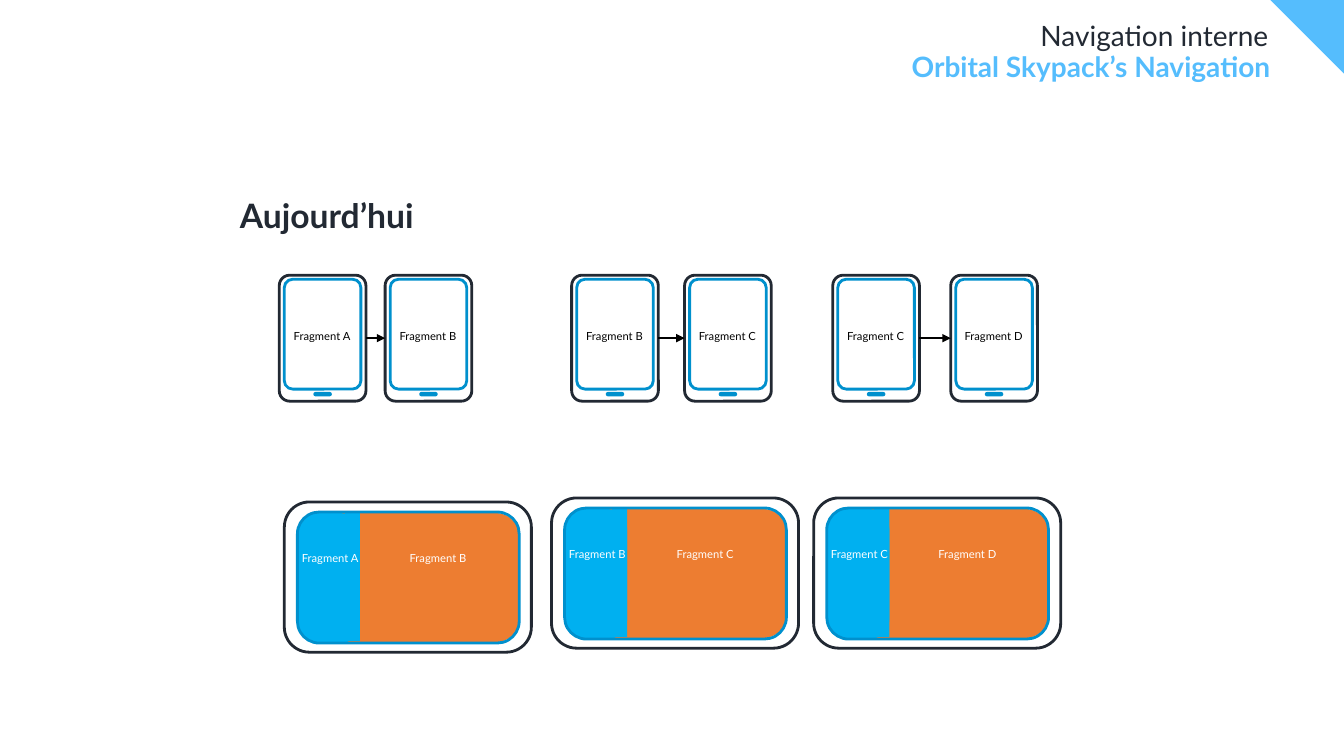
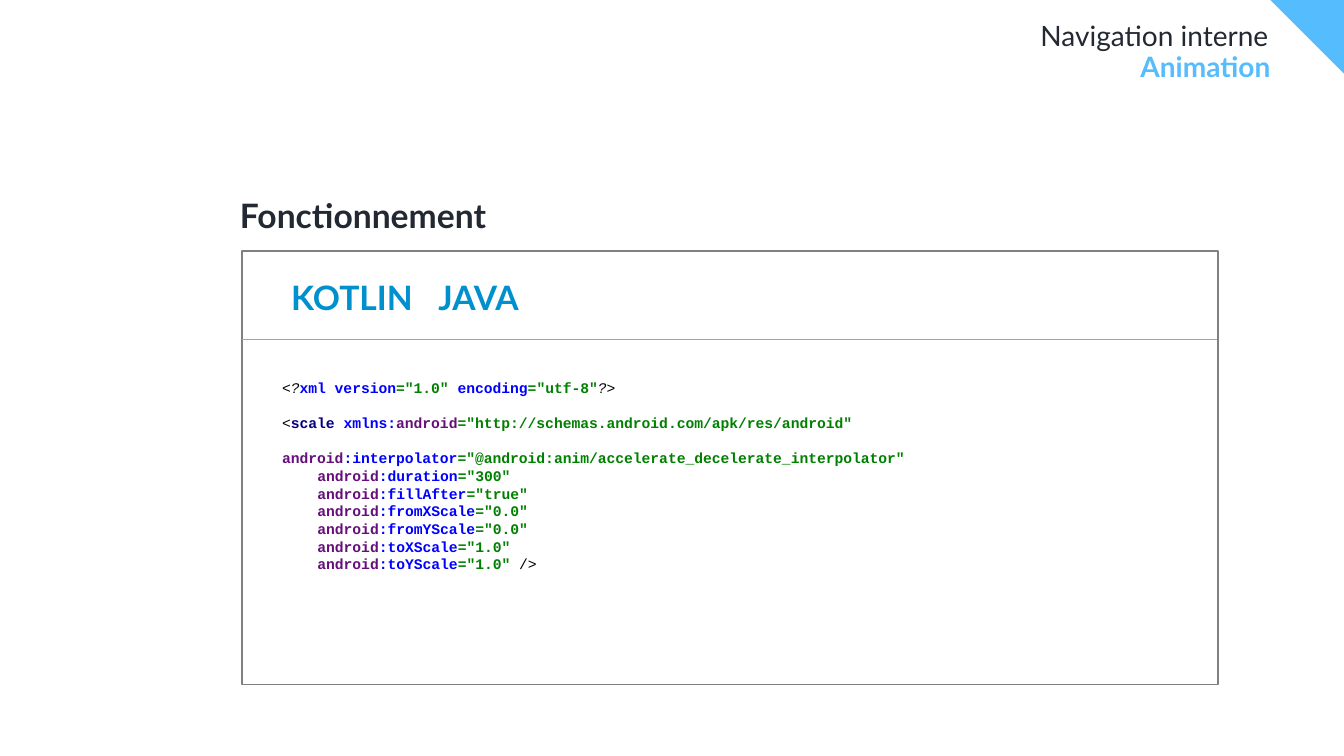
from lxml import etree
from pptx import Presentation
from pptx.dml.color import RGBColor
from pptx.enum import shapes, text
from pptx.oxml.ns import qn
from pptx.util import Inches, Pt

SANS, MONO = "Lato", "Courier New"
INK, SKY, BLUE, WHITE, BLACK = "222933", "55BDFD", "0090CD", "FFFFFF", "000000"
CYAN, ORANGE = "00B0F0", "ED7D31"
KEYWORD, ATTRIBUTE, STRING, PREFIX = "000080", "0000FF", "008000", "660E7A"
CODE_LINE = Pt(12.6)
CODE_INDENT = Inches(0.35)
SHAPE = shapes.MSO_SHAPE
ALIGN = text.PP_ALIGN
ANCHOR = text.MSO_ANCHOR


# Basic elements
def rgb(hex_colour):
    return RGBColor.from_string(hex_colour)


def style_font(font, size, colour, bold=False, name=SANS):
    font.name, font.size, font.bold = name, Pt(size), bold
    font.color.rgb = rgb(colour)


def paint(shape, fill=None, line=None, width=2):
    shape.shadow.inherit = False
    if fill:
        shape.fill.solid()
        shape.fill.fore_color.rgb = rgb(fill)
    else:
        shape.fill.background()
    if line:
        shape.line.color.rgb = rgb(line)
        shape.line.width = Pt(width)
    else:
        shape.line.fill.background()


def add_block(parent, kind, box, fill=None, line=None, width=2, corner=None):
    shape = parent.shapes.add_shape(kind, *map(Inches, box))
    paint(shape, fill, line, width)
    if corner is not None:
        shape.adjustments[0] = corner
    return shape


def add_label(parent, words, box, size, colour, bold=False, align=None,
              insets=(0.1, 0.05)):
    frame = parent.shapes.add_textbox(*map(Inches, box)).text_frame
    frame.word_wrap = True
    frame.vertical_anchor = ANCHOR.BOTTOM
    frame.margin_left = frame.margin_right = Inches(insets[0])
    frame.margin_top = frame.margin_bottom = Inches(insets[1])
    para = frame.paragraphs[0]
    para.text = words
    para.alignment = align
    style_font(para.font, size, colour, bold)


def add_line(parent, start, end, colour, width, arrow=False):
    line = parent.shapes.add_connector(
        shapes.MSO_CONNECTOR.STRAIGHT, *map(Inches, start + end))
    line.line.color.rgb = rgb(colour)
    line.line.width = Pt(width)
    properties = line.element.spPr
    if arrow:
        etree.SubElement(properties.find(qn("a:ln")), qn("a:tailEnd"), type="triangle")
    etree.SubElement(properties, qn("a:effectLst"))
    return line


# Shared header
def fill_placeholder(holder, words, box, size, colour, bold=True,
                     align=ALIGN.LEFT, inset=0.0):
    holder.left, holder.top, holder.width, holder.height = map(Inches, box)
    frame = holder.text_frame
    frame.auto_size = text.MSO_AUTO_SIZE.NONE
    frame.vertical_anchor = ANCHOR.TOP
    frame.margin_left = frame.margin_right = Inches(inset)
    frame.margin_top = frame.margin_bottom = Inches(inset / 2)
    para = frame.paragraphs[0]
    para.text = words
    para.alignment = align
    para.line_spacing = 0.9
    para.space_before = Pt(0)
    style_font(para.font, size, colour, bold)
    settings = para._p.get_or_add_pPr()
    settings.set("marL", "0")
    settings.set("indent", "0")
    etree.SubElement(settings, qn("a:buNone"))


def add_page(deck, subtitle, heading, heading_height):
    page = deck.slides.add_slide(deck.slide_layouts.get_by_name("Two Content"))
    outline = page.shapes.build_freeform(Inches(12.6), 0)
    outline.add_line_segments([(Inches(13.33), 0), (Inches(13.33), Inches(0.73))])
    paint(outline.convert_to_shape(), SKY)
    title, body, second = page.placeholders
    fill_placeholder(title, "Navigation interne", (0.37, 0.22, 12.21, 0.31),
                     20, INK, False, ALIGN.RIGHT)
    fill_placeholder(body, heading, (2.28, 1.93, 10.32, heading_height),
                     24, INK, inset=0.1)
    fill_placeholder(second, subtitle, (0.37, 0.53, 12.23, 0.43),
                     20, SKY, align=ALIGN.RIGHT)
    return page


# Devices
def add_fragment(parent, letter, left, top, colour):
    add_label(parent, f"Fragment {letter}", (left, top, 0.69, 0.14), 8, colour,
              align=ALIGN.CENTER, insets=(0, 0.05))


def add_phone(page, left, letter):
    top = 2.73
    phone = page.shapes.add_group_shape()
    rounded = SHAPE.ROUNDED_RECTANGLE
    case = add_block(phone, rounded, (left, top, 0.86, 1.25), WHITE, INK, corner=0.12)
    add_block(phone, rounded, (left + 0.35, top + 1.17, 0.16, 0.02),
              BLUE, BLUE, 1.65, 0.5)
    add_block(phone, rounded, (left + 0.05, top + 0.04, 0.76, 1.09),
              line=BLUE, corner=0.11)
    add_fragment(phone, letter, left + 0.08, top + 0.58, BLACK)
    return case


def add_phone_pair(page, lefts, letters):
    first, second = [add_phone(page, *phone) for phone in zip(lefts, letters)]
    arrow = add_line(page, (lefts[0] + 0.86, 3.35), (lefts[1], 3.35), BLACK, 1.5, True)
    arrow.begin_connect(first, 3)
    arrow.end_connect(second, 1)


def add_tablet(page, left, top, letters):
    tablet = page.shapes.add_group_shape()
    rounded = SHAPE.ROUNDED_RECTANGLE
    add_block(tablet, rounded, (left, top, 2.45, 1.49), WHITE, INK)
    add_block(tablet, rounded, (left + 0.3, top + 0.11, 2.03, 1.28), ORANGE, corner=0.18)
    add_block(tablet, rounded, (left + 0.13, top + 0.11, 0.62, 1.29), CYAN, corner=0.31)
    add_block(tablet, SHAPE.RECTANGLE, (left + 0.6, top + 0.11, 0.15, 1.27), CYAN)
    add_block(tablet, rounded, (left + 0.13, top + 0.1, 2.2, 1.3), line=BLUE)
    for letter, shift in zip(letters, (0.11, 1.18)):
        add_fragment(tablet, letter, left + shift, top + 0.53, WHITE)


# Code listing
def add_span(para, words, colour, bold=True, italic=False):
    span = para.add_run()
    span.text = words
    style_font(span.font, 10.5, colour, bold, MONO)
    span.font.italic = italic


def code_lines():
    lines = [
        [("<?", BLACK, False, True), ("xml version", ATTRIBUTE), ('="1.0" ', STRING),
         ("encoding", ATTRIBUTE), ('="utf-8"', STRING), ("?>", BLACK, False, True)],
        [("<", BLACK, False), ("scale ", KEYWORD), ("xmlns:", ATTRIBUTE),
         ("android", PREFIX),
         ('="http://schemas.android.com/apk/res/android"', STRING)],
    ]
    attributes = {
        "interpolator": "@android:anim/accelerate_decelerate_interpolator",
        "duration": "300", "fillAfter": "true",
        "fromXScale": "0.0", "fromYScale": "0.0",
        "toXScale": "1.0", "toYScale": "1.0",
    }
    for name, value in attributes.items():
        lines.append([("android", PREFIX), (f":{name}", ATTRIBUTE),
                      (f'="{value}"', STRING)])
    lines[-1].append((" />", BLACK, False))
    return lines


def add_code(page, box):
    frame = add_block(page, SHAPE.RECTANGLE, box, WHITE).text_frame
    frame.word_wrap = True
    frame.vertical_anchor = ANCHOR.MIDDLE
    for number, spans in enumerate(code_lines()):
        para = frame.add_paragraph() if number else frame.paragraphs[0]
        para.alignment = ALIGN.LEFT
        para.line_spacing = CODE_LINE
        if number in (1, 2):
            para.space_before = CODE_LINE
        if number > 2:
            para._p.get_or_add_pPr().set("marL", str(CODE_INDENT))
        for span in spans:
            add_span(para, *span)


# Slides
def build_today(deck):
    page = add_page(deck, "Orbital Skypack’s Navigation", "Aujourd’hui", 4.3)
    steps = [
        ("AB", (2.77, 3.82), (2.82, 4.98)),
        ("BC", (5.67, 6.79), (5.47, 4.94)),
        ("CD", (8.26, 9.43), (8.07, 4.94)),
    ]
    for letters, phone_lefts, tablet_corner in steps:
        add_phone_pair(page, phone_lefts, letters)
        add_tablet(page, *tablet_corner, letters)


def build_animation(deck):
    page = add_page(deck, "Animation", "Fonctionnement", 0.5)
    panel = page.shapes.add_group_shape()
    add_block(panel, SHAPE.RECTANGLE, (2.4, 2.49, 9.68, 4.3), WHITE, "808080", 1)
    add_line(panel, (2.4, 3.37), (12.07, 3.37), "A5A5A5", 0.5)
    for language, left, width in (("KOTLIN", 2.79, 1.46), ("JAVA", 4.25, 1.25)):
        add_label(page, language, (left, 2.51, width, 0.69), 24, BLUE, True)
    add_code(page, (2.7, 3.7, 6.56, 2.04))


def main():
    deck = Presentation()
    deck.slide_width, deck.slide_height = Inches(13.33), Inches(7.5)
    build_today(deck)
    build_animation(deck)
    deck.save("out.pptx")


if __name__ == "__main__":
    main()
